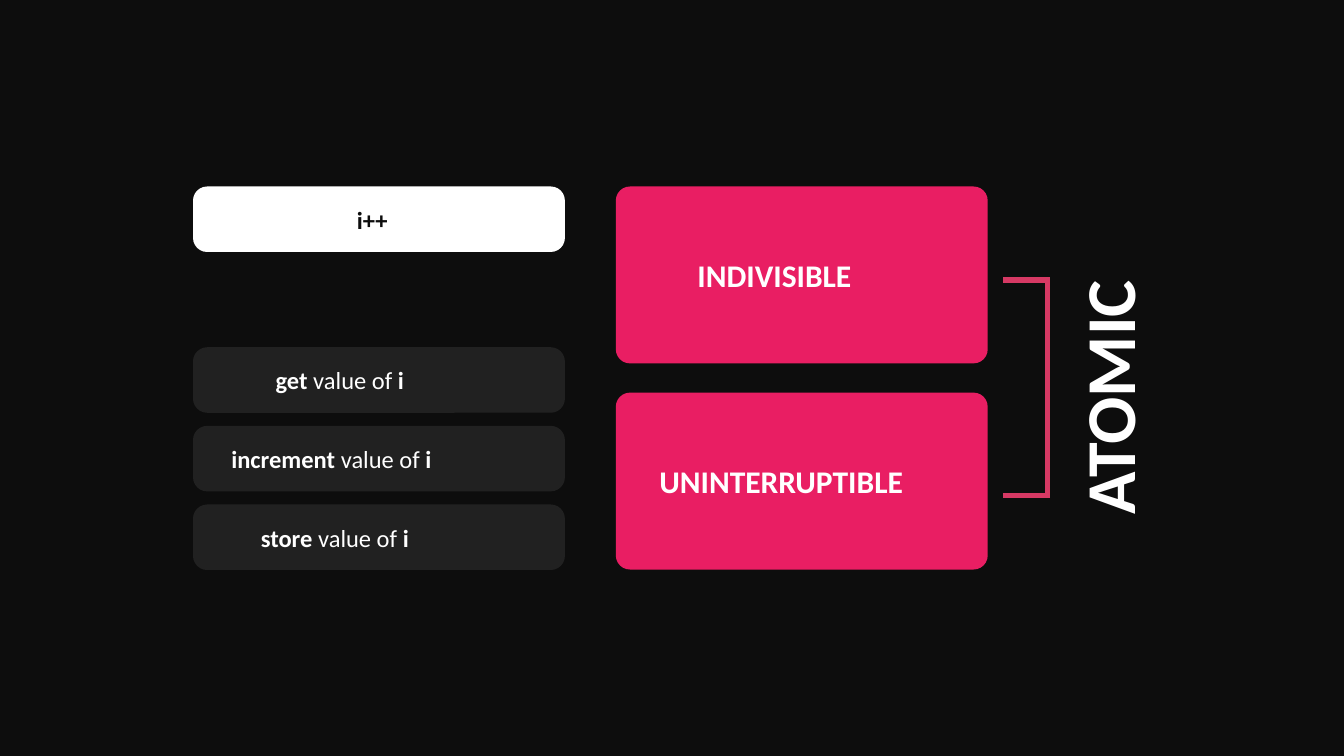
from lxml import etree
from pptx import Presentation
from pptx.dml.color import RGBColor
from pptx.enum.shapes import MSO_SHAPE
from pptx.enum.text import MSO_ANCHOR, MSO_AUTO_SIZE, PP_ALIGN
from pptx.oxml.ns import qn
from pptx.util import Inches, Pt

ROUNDED = MSO_SHAPE.ROUNDED_RECTANGLE
MIDDLE = MSO_ANCHOR.MIDDLE
FIXED = MSO_AUTO_SIZE.NONE
LEFT = PP_ALIGN.LEFT

FONT = "Calibri"
BLACK, WHITE, GREY = "0D0D0D", "FFFFFF", "212121"
PINK, ROSE = "E91E63", "D63964"
CORNER = 0.28
INSET = 0.06
TITLE_ONLY = 5


def color(hex_value):
    return RGBColor.from_string(hex_value)


def write(frame, runs, size, fill=WHITE):
    """Fill a text frame with (text, bold) runs on one left-aligned line."""
    frame.auto_size = FIXED
    frame.word_wrap = True
    frame.vertical_anchor = MIDDLE
    frame.margin_left = frame.margin_right = Inches(INSET)
    frame.margin_top = frame.margin_bottom = Inches(INSET)
    line = frame.paragraphs[0]
    line.alignment = LEFT
    for text, bold in runs:
        run = line.add_run()
        run.text = text
        run.font.name = FONT
        run.font.size = Pt(size)
        run.font.bold = bold
        run.font.color.rgb = color(fill)


def add_card(slide, box, fill, runs, label_width, label_height, size, ink=WHITE):
    """Draw a rounded card with a label box centred on it."""
    left, top, width, height = box
    card = slide.shapes.add_shape(ROUNDED, *map(Inches, box))
    card.shadow.inherit = False
    card.adjustments[0] = CORNER / min(width, height)
    card.fill.solid()
    card.fill.fore_color.rgb = color(fill)
    card.line.fill.background()
    label = slide.shapes.add_textbox(
        Inches(left + (width - label_width) / 2),
        Inches(top + (height - label_height) / 2),
        Inches(label_width), Inches(label_height))
    write(label.text_frame, runs, size, ink)


def add_operation(slide, left, top, width):
    """Place the i++ statement above the three steps it consists of."""
    height, pitch, steps_offset = 1.3, 1.56, 3.19
    add_card(slide, (left, top, width, height), WHITE, [("i++", True)],
             1, 0.78, 35, BLACK)
    steps = [("get", 4.22), ("increment", 5.98), ("store", 4.81)]
    for row, (verb, label_width) in enumerate(steps):
        box = (left, top + steps_offset + row * pitch, width, height)
        runs = [(verb, True), (" value of ", False), ("i", True)]
        add_card(slide, box, GREY, runs, label_width, 0.78, 35)


def add_properties(slide, left, top, width, height):
    card_height = 3.51
    properties = [("INDIVISIBLE", 4.26), ("UNINTERRUPTIBLE", 5.77)]
    for row, (name, label_width) in enumerate(properties):
        box = (left, top + row * (height - card_height), width, card_height)
        add_card(slide, box, PINK, [(name, True)], label_width, 0.96, 45)


def add_bracket(slide, left, top, width, height):
    right, bottom = left + width, top + height
    corners = [(left, bottom), (right, bottom), (right, top), (left, top)]
    points = [(Inches(x), Inches(y)) for x, y in corners]
    builder = slide.shapes.build_freeform(*points[0])
    builder.add_line_segments(points[1:], close=False)
    bracket = builder.convert_to_shape()
    bracket.shadow.inherit = False
    bracket.fill.background()
    bracket.line.color.rgb = color(ROSE)
    bracket.line.width = Pt(8)
    outline = bracket.line._get_or_add_ln()
    etree.SubElement(outline, qn("a:miter")).set("lim", "400000")


def add_vertical_title(slide, left, top, width, height):
    title = slide.shapes.title
    title.left, title.top = Inches(left), Inches(top)
    title.width, title.height = Inches(width), Inches(height)
    title.rotation = 270
    write(title.text_frame, [("ATOMIC", True)], 100)


def main():
    deck = Presentation()
    deck.slide_width, deck.slide_height = Inches(26.67), Inches(15)
    slide = deck.slides.add_slide(deck.slide_layouts[TITLE_ONLY])
    slide.background.fill.solid()
    slide.background.fill.fore_color.rgb = color(BLACK)

    add_operation(slide, 3.83, 3.7, 7.38)
    add_properties(slide, 12.22, 3.7, 7.38, 7.6)
    add_vertical_title(slide, 19.41, 6.69, 5.14, 2)
    add_bracket(slide, 19.9, 5.55, 0.89, 4.28)
    deck.save("out.pptx")


if __name__ == "__main__":
    main()
